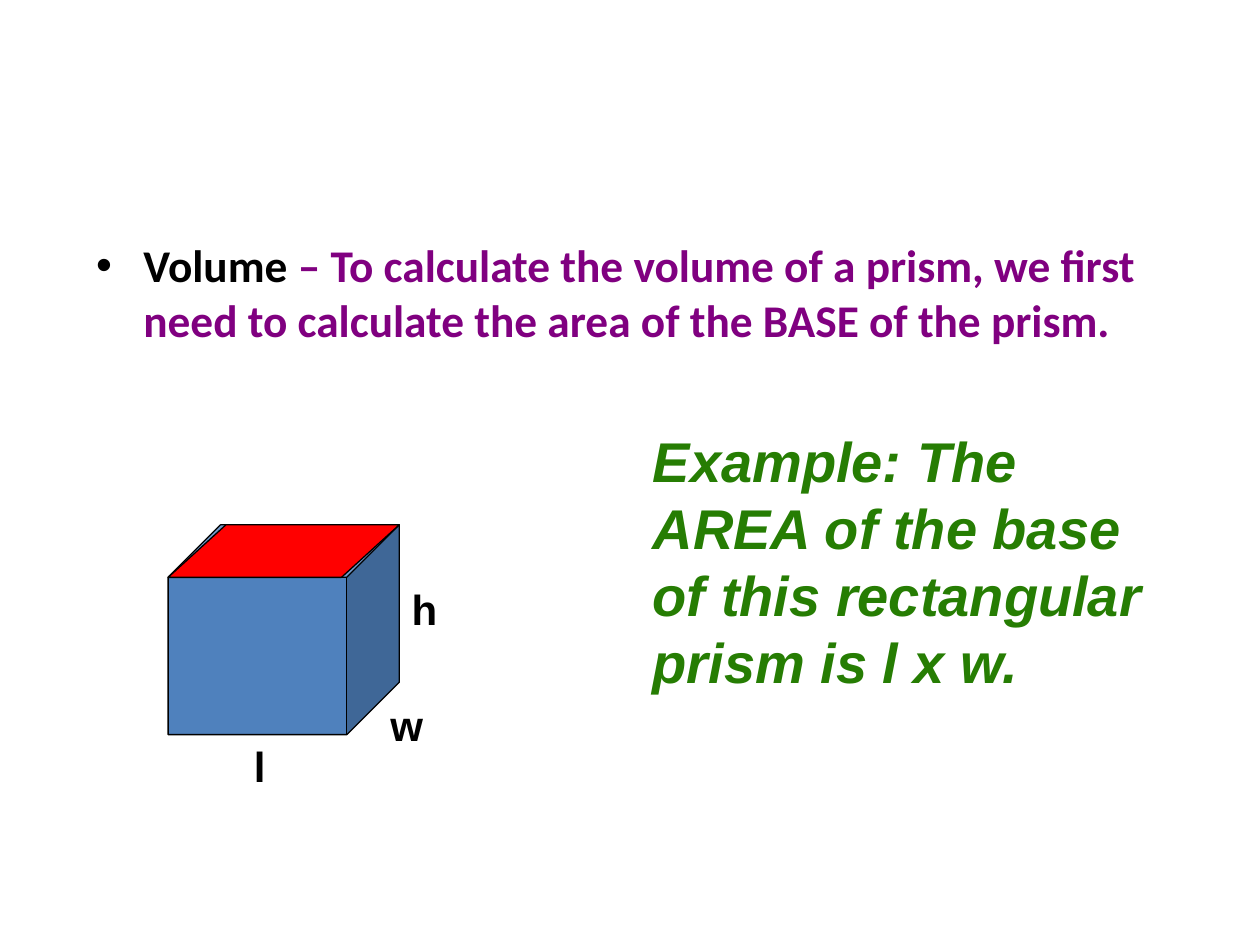
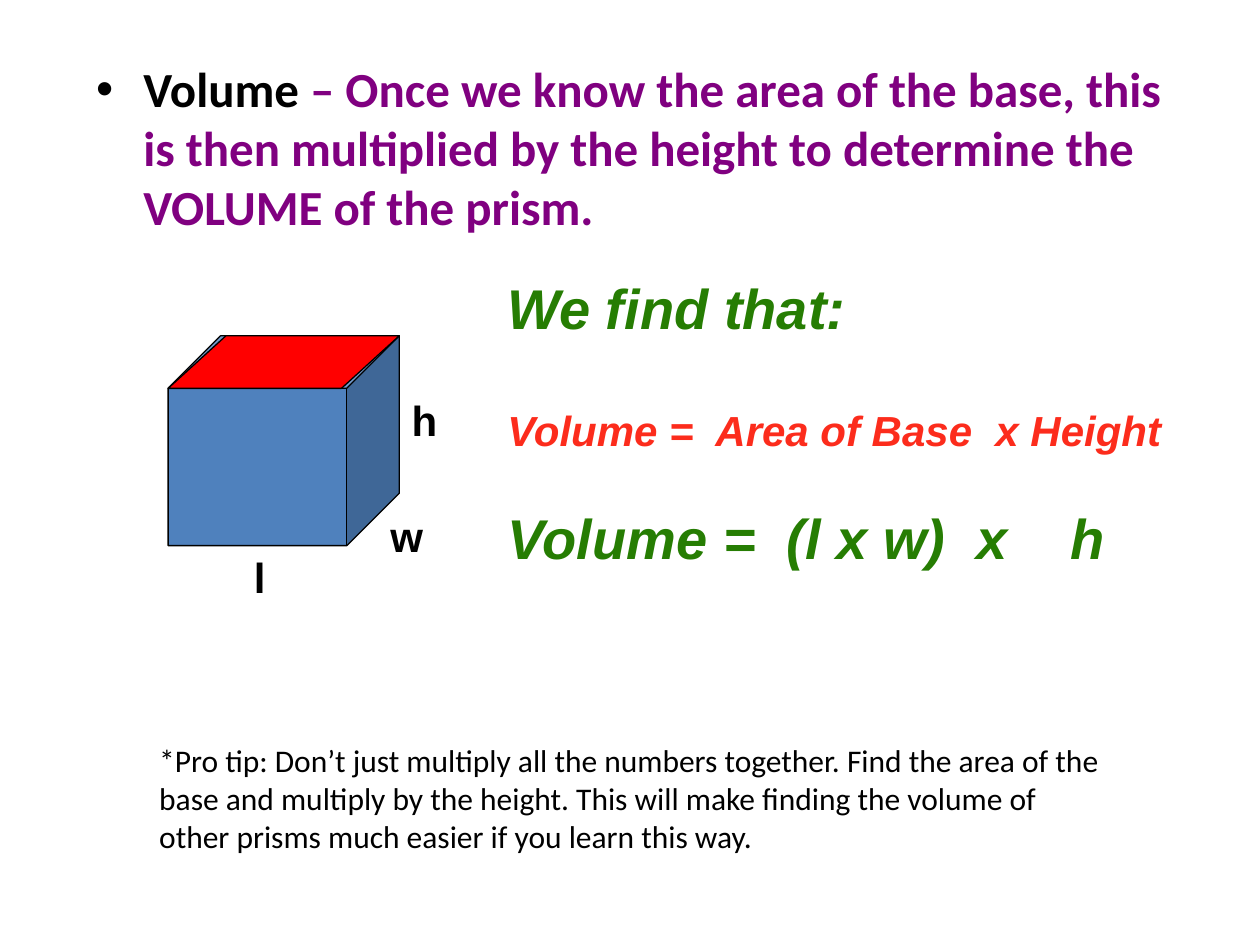
from lxml import etree
from pptx import Presentation
from pptx import util as u
from pptx.dml.color import RGBColor
from pptx.enum import shapes, text
from pptx.oxml.ns import qn

COLORS = {"ink": "000000", "purple": "800080", "green": "267D03",
          "crimson": "FC2C1C", "blue": "4F81BD", "red": "FF0000"}


def style(font, name, size, color, bold=True, italic=False):
    font.name, font.size = name, u.Pt(size)
    font.bold, font.italic = bold, italic
    font.color.rgb = RGBColor.from_string(COLORS[color])


def add_box(page, left, top, width, height, wrap=True, grow=True):
    box = page.shapes.add_textbox(u.Cm(left), u.Cm(top), u.Cm(width), u.Cm(height))
    frame = box.text_frame
    frame.word_wrap = wrap
    if grow:
        frame.auto_size = text.MSO_AUTO_SIZE.SHAPE_TO_FIT_TEXT
    return frame


deck = Presentation()
deck.slide_width, deck.slide_height = u.Cm(25.4), u.Cm(19.05)

# What differs between the slides: definition (top, height, size, text),
# top of the prism, and the lines beside it (space before, size, colour, text)
lessons = [
    {"definition": (4.66, 2.96, 25.9,
                    " – To calculate the volume of a prism, we first need to "
                    "calculate the area of the BASE of the prism."),
     "prism_top": 10.58,
     "side_box": (12.91, 8.47, 11.25, 5.66),
     "side_lines": [(0, 32, "green", "Example: The AREA of the base of this "
                                     "rectangular prism is l x w.")]},
    {"definition": (1.06, 8.26, 28,
                    " – Once we know the area of the base, this is then multiplied "
                    "by the height to determine the VOLUME of the prism."),
     "prism_top": 6.77,
     "side_box": (9.98, 5.38, 14.22, 6.35),
     "side_lines": [(0, 32, "green", "We find that:"),
                    (36.8, 24, "crimson", "Volume =  Area of Base  x Height"),
                    (27.6, 32, "green", "Volume =  (l x w)  x\th")]},
]

# Edge labels: left, distance below the prism's top, width
edge_labels = {"l": (4.87, 4.23, 0.74), "w": (7.62, 3.39, 1.17), "h": (8.05, 1.05, 1.02)}
# Prism parts: shape, height, adjustment, fill
prism_parts = [(shapes.MSO_SHAPE.CUBE, 4.23, 0.25, "blue"),
               (shapes.MSO_SHAPE.PARALLELOGRAM, 1.06, 1.1, "red")]

for lesson in lessons:
    page = deck.slides.add_slide(deck.slide_layouts[6])
    prism_top = lesson["prism_top"]

    # Bulleted definition
    top, height, size, definition = lesson["definition"]
    para = add_box(page, 1.69, top, 22.44, height, grow=False).paragraphs[0]
    props = para._p.get_or_add_pPr()
    props.set("marL", str(u.Cm(0.95)))
    props.set("indent", str(u.Cm(-0.95)))
    etree.SubElement(props, qn("a:buFont")).set("typeface", "Arial")
    etree.SubElement(props, qn("a:buChar")).set("char", "•")
    for words, color in (("Volume", "ink"), (definition, "purple")):
        span = para.add_run()
        span.text = words
        style(span.font, "Calibri", size, color)

    # Lines beside the prism
    frame = add_box(page, *lesson["side_box"])
    frame.text = "\n".join(line[3] for line in lesson["side_lines"])
    for para, (gap, size, color, words) in zip(frame.paragraphs, lesson["side_lines"]):
        if gap:
            para.space_before = u.Pt(gap)
        if "\t" in words:
            tabs = etree.SubElement(para._p.get_or_add_pPr(), qn("a:tabLst"))
            etree.SubElement(tabs, qn("a:tab"), pos=str(u.Cm(11.35)), algn="l")
        for span in para.runs:
            style(span.font, "Arial", size, color, italic=True)

    # Edge labels
    for letter, (left, drop, width) in edge_labels.items():
        frame = add_box(page, left, prism_top + drop, width, 1.27, wrap=False)
        frame.text = letter
        style(frame.paragraphs[0].runs[0].font, "Arial", 24, "ink")

    # Prism with its base highlighted
    for kind, height, adjustment, color in prism_parts:
        part = page.shapes.add_shape(kind, u.Cm(3.39), u.Cm(prism_top),
                                     u.Cm(4.66), u.Cm(height))
        part.adjustments[0] = adjustment
        part.shadow.inherit = False
        part.fill.solid()
        part.fill.fore_color.rgb = RGBColor.from_string(COLORS[color])
        part.line.color.rgb = RGBColor.from_string(COLORS["ink"])
        part.line.width = u.Pt(0.75)

# Closing tip on the last slide
frame = add_box(page, 2.96, 14.82, 19.69, 2.57)
frame.text = ("*Pro tip: Don’t just multiply all the numbers together. Find the area of "
              "the base and multiply by the height. This will make finding the volume of "
              "other prisms much easier if you learn this way.")
style(frame.paragraphs[0].runs[0].font, "Calibri", 18, "ink", bold=False)

deck.save("out.pptx")
